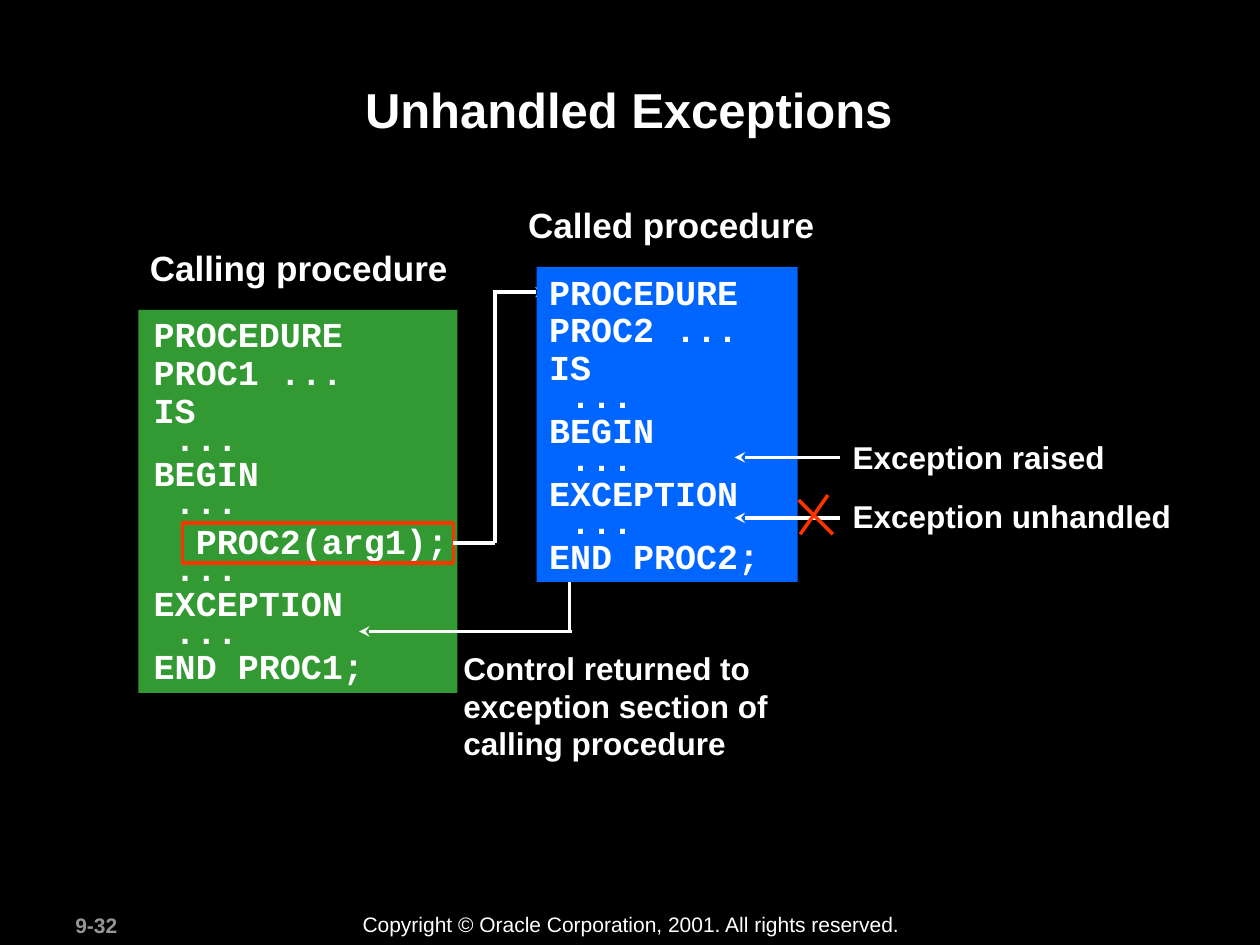
from typing import NamedTuple

from lxml.etree import SubElement
from pptx import Presentation
from pptx.dml.color import RGBColor as Rgb
from pptx.enum.shapes import MSO_CONNECTOR as Link, MSO_SHAPE as Shape
from pptx.enum.text import PP_ALIGN as Align
from pptx.oxml.ns import qn
from pptx.util import Cm, Pt


class Theme(NamedTuple):
    back: str = "000000"
    white: str = "FFFFFF"
    gray: str = "969696"
    blue: str = "0066FF"
    green: str = "339933"
    red: str = "FF3300"
    sans: str = "Arial"
    mono: str = "Courier New"
    title: int = 28
    head: int = 20
    note: int = 18
    foot: int = 12
    stroke: int = 2


class Box(NamedTuple):
    left: float
    top: float
    width: float
    height: float


class Panel(NamedTuple):
    box: Box
    fill: str
    head: str
    label: Box
    text: Box
    code: str


class Note(NamedTuple):
    text: str
    box: Box


class Line(NamedTuple):
    x1: float
    y1: float
    x2: float
    y2: float
    color: str
    arrow: bool = False


T = Theme()


def color(code):
    return Rgb.from_string(code)


def add_text(slide, text: str, box: Box, *, size=T.note, ink=T.white, face=T.sans,
             bold=True, align=Align.LEFT, pad=(0.25, 0.13), wrap=True, gap=None):
    """Write one paragraph per line; gap maps a line to its line spacing."""
    frame = slide.shapes.add_textbox(*map(Cm, box)).text_frame
    frame.word_wrap = wrap
    frame.margin_left = frame.margin_right = Cm(pad[0])
    frame.margin_top = frame.margin_bottom = Cm(pad[1])
    for i, row in enumerate(text.split("\n")):
        para = frame.paragraphs[0] if i == 0 else frame.add_paragraph()
        para.alignment = align
        if gap:
            para.line_spacing = gap(row)
        run = para.add_run()
        run.text = row
        font = run.font
        font.name, font.size, font.bold = face, Pt(size), bold
        font.color.rgb = color(ink)


def add_rect(slide, box: Box, fill: str = "", edge: str = ""):
    rect = slide.shapes.add_shape(Shape.RECTANGLE, *map(Cm, box))
    rect.shadow.inherit = False
    if fill:
        rect.fill.solid()
        rect.fill.fore_color.rgb = color(fill)
    else:
        rect.fill.background()
    if edge:
        rect.line.color.rgb = color(edge)
        rect.line.width = Pt(T.stroke)
    else:
        rect.line.fill.background()
    return rect


def add_line(slide, line: Line):
    ends = map(Cm, (line.x1, line.y1, line.x2, line.y2))
    link = slide.shapes.add_connector(Link.STRAIGHT, *ends)
    link.line.color.rgb = color(line.color)
    link.line.width = Pt(T.stroke)
    if line.arrow:
        SubElement(link.line._get_or_add_ln(), qn("a:tailEnd"), type="stealth")
    SubElement(link._element.spPr, qn("a:effectLst"))
    return link


def code_gap(row: str) -> float:
    """Dotted lines sit tight, the call line has full height."""
    if row.strip() == "...":
        return 0.6
    return 1.0 if row.startswith(" ") else 0.9


def add_panel(slide, panel: Panel):
    add_rect(slide, panel.box, fill=panel.fill)
    add_text(slide, panel.code, panel.text, size=T.head, face=T.mono,
             pad=(0.2, 0.1), wrap=False, gap=code_gap)
    add_text(slide, panel.head, panel.label, size=T.head, align=Align.CENTER,
             gap=lambda row: 0.95)


CALLED = Panel(
    Box(10.82, 5.38, 5.26, 6.35), T.blue,
    "Called procedure", Box(9.42, 4.04, 8.23, 1.07), Box(10.87, 5.44, 4.65, 6.3),
    """PROCEDURE
PROC2 ...
IS
 ...
BEGIN
 ...
EXCEPTION
 ...
END PROC2;""")

CALLING = Panel(
    Box(2.79, 6.25, 6.43, 7.72), T.green,
    "Calling procedure", Box(2.24, 4.9, 7.57, 1.07), Box(2.9, 6.3, 6.35, 7.65),
    """PROCEDURE
PROC1 ...
IS
 ...
BEGIN
 ...
  PROC2(arg1);
 ...
EXCEPTION
 ...
END PROC1;""")

NOTES = (
    Note("Exception raised", Box(16.94, 8.71, 6.25, 1.02)),
    Note("Exception unhandled", Box(16.94, 9.88, 7.21, 1.02)),
    Note("Control returned to exception section of calling procedure",
         Box(9.09, 12.95, 6.98, 2.54)),
)

CALL = Box(3.68, 10.54, 5.46, 0.81)
MID = CALL.top + CALL.height / 2

# The call path runs behind the called panel
ENTRY = (
    Line(9.98, MID, 9.98, 5.84, T.white),
    Line(9.93, 5.89, 11, 5.89, T.white, True),
)

FLOW = (
    # Exception raised, exception unhandled
    Line(16.94, 9.22, 14.81, 9.22, T.white, True),
    Line(16.94, 10.44, 14.81, 10.44, T.white, True),
    # Cross over the unhandled arrow
    Line(16.1, 10.08, 16.79, 10.77, T.red),
    Line(16.13, 10.77, 16.69, 9.98, T.red),
    # Return to the calling procedure
    Line(11.48, 11.73, 11.48, 12.75, T.white),
    Line(11.53, 12.73, 7.24, 12.73, T.white, True),
)


def main():
    deck = Presentation()
    deck.slide_width, deck.slide_height = Cm(25.4), Cm(19.05)
    slide = deck.slides.add_slide(deck.slide_layouts[6])
    slide.background.fill.solid()
    slide.background.fill.fore_color.rgb = color(T.back)

    # Footer and title
    add_text(slide, "9-32", Box(1.27, 18.26, 2.67, 0.76), size=T.foot, ink=T.gray)
    add_text(slide, "Copyright © Oracle Corporation, 2001. All rights reserved.",
             Box(7.06, 18.24, 11.38, 0.76), size=T.foot, bold=False)
    add_text(slide, "Unhandled Exceptions", Box(2.39, 1.47, 20.57, 2.44),
             size=T.title, align=Align.CENTER)

    # Procedures
    for line in ENTRY:
        add_line(slide, line)
    for panel in (CALLED, CALLING):
        add_panel(slide, panel)

    # Call frame and the start of its path
    call = add_rect(slide, CALL, edge=T.red)
    start = add_line(slide, Line(CALL.left + CALL.width, MID, 9.98, MID, T.white))
    start.begin_connect(call, 3)

    # Notes and flow
    for note in NOTES:
        add_text(slide, note.text, note.box)
    for line in FLOW:
        add_line(slide, line)

    deck.save("out.pptx")


if __name__ == "__main__":
    main()
